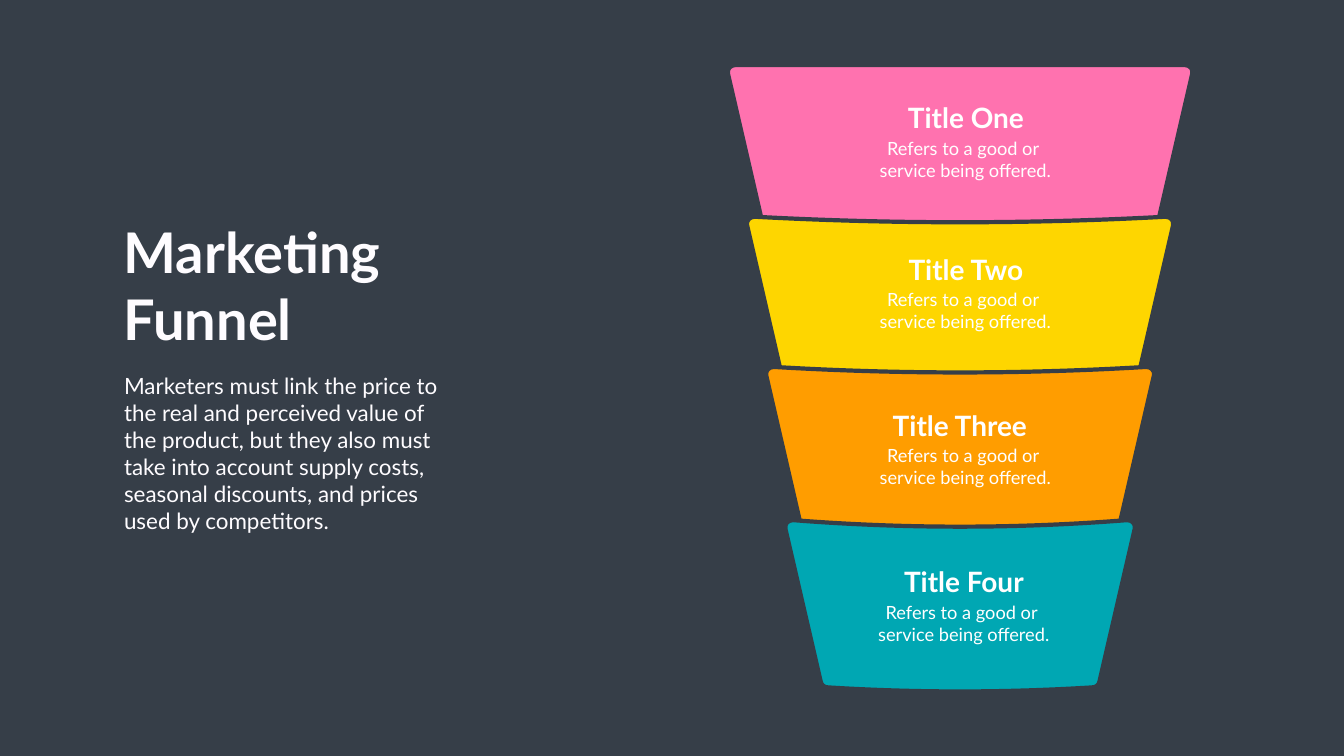
from lxml.etree import SubElement
from pptx import Presentation
from pptx.dml.color import RGBColor
from pptx.enum.text import MSO_ANCHOR, MSO_AUTO_SIZE, PP_ALIGN
from pptx.oxml.ns import qn
from pptx.util import Inches, Pt

BACKDROP = RGBColor(0x36, 0x3E, 0x48)
CREAM = RGBColor(0xFE, 0xFC, 0xFF)
WHITE = RGBColor(0xFF, 0xFF, 0xFF)
PINK = RGBColor(0xFF, 0x72, 0xAF)
YELLOW = RGBColor(0xFE, 0xD6, 0x00)
ORANGE = RGBColor(0xFF, 0x9D, 0x00)
TEAL = RGBColor(0x00, 0xA7, 0xB3)

COLS, ROWS = 26.66, 15
COL = ROW = Inches(1)

HEADING = {"size": Pt(80), "bold": True}
BODY = {"size": Pt(32), "bold": False}
TIER_TITLE = {"size": Pt(40), "bold": True}
TIER_NOTE = {"size": Pt(26), "bold": False}


def write(s, box, lines, font, color, align, wrap):
    s.left, s.top, s.width, s.height = (int(v * COL) for v in box)
    tf = s.text_frame
    tf.text = "\n".join(lines)
    frame = {"word_wrap": wrap, "auto_size": MSO_AUTO_SIZE.SHAPE_TO_FIT_TEXT,
             "vertical_anchor": MSO_ANCHOR.TOP}
    for name, value in frame.items():
        setattr(tf, name, value)
    for p in tf.paragraphs:
        pPr = p._p.get_or_add_pPr()
        pPr.set("marL", "0")
        pPr.set("indent", "0")
        SubElement(pPr, qn("a:buNone"))
        p.alignment = align
        p.space_before = Pt(0)
        for r in p.runs:
            for name, value in {"name": "Lato", **font}.items():
                setattr(r.font, name, value)
            r.font.color.rgb = color


def draw(outline, tag, points):
    step = SubElement(outline, qn(tag))
    for x, y in points:
        SubElement(step, qn("a:pt"), x=str(round(x * COL)), y=str(round(y * ROW)))


prs = Presentation()
prs.slide_width, prs.slide_height = int(COLS * COL), ROWS * ROW
slide = prs.slides.add_slide(prs.slide_layouts[1])
slide.background.fill.solid()
slide.background.fill.fore_color.rgb = BACKDROP

tiers = [
    ("Title One", PINK, 1.29, 0, 0, 1.95, 19.16, 2.54, 19.15),
    ("Title Two", YELLOW, 4.3, 0.11, 0, 4.96, 19.16, 2.58, 19.15),
    ("Title Three", ORANGE, 7.28, 0.11, 0, 8.05, 19.04, 2.93, 19.15),
    ("Title Four", TEAL, 10.32, 0.13, 0.08, 11.16, 19.12, 2.63, 19.12),
]

for i, (_, color, top, top_sag, bottom_sag, *_) in enumerate(tiers):
    left, width, height = 14.42 + 0.38 * i, 9.25 - 0.76 * i, 3.32 + bottom_sag
    builder = slide.shapes.build_freeform(left * COL, top * ROW)
    builder.add_line_segments([((left + x) * COL, (top + y) * ROW)
                               for x, y in ((width, 0), (width, height), (0, height))])
    s = builder.convert_to_shape()
    outline = next(s._element.iter(qn("a:path")))
    for step in list(outline):
        outline.remove(step)

    lower = [(0.87, 3.32), (0.79, 3.32), (0.73, 3.27), (0.72, 3.2)]
    upper = [(0.02, 0.17), (0, 0.08), (0.07, 0), (0.17, 0)]
    right_upper, right_lower = ([(width - x, y) for x, y in reversed(corner)]
                                for corner in (upper, lower))
    corners = [lower, upper, right_upper, right_lower]
    sags = [bottom_sag, 0, top_sag, 0]
    start = right_lower[-1]
    draw(outline, "a:moveTo", [start])
    for corner, sag in zip(corners, sags):
        end = corner[0]
        if sag:
            bend = [(start[0] + (end[0] - start[0]) * t, end[1] + sag * 4 / 3) for t in (1 / 3, 2 / 3)]
            draw(outline, "a:cubicBezTo", bend + [end])
        else:
            draw(outline, "a:lnTo", [end])
        draw(outline, "a:cubicBezTo", corner[1:])
        start = corner[-1]
    SubElement(outline, qn("a:close"))

    s.shadow.inherit = False
    s.fill.solid()
    s.fill.fore_color.rgb = color
    s.line.color.rgb = BACKDROP
    s.line.width = Pt(6)

write(slide.shapes.title, (2.35, 4.26, 5.57, 2.79), ["Marketing Funnel"],
      HEADING, CREAM, PP_ALIGN.LEFT, True)
write(slide.placeholders[1], (2.36, 7.34, 6.63, 3.33),
      ["Marketers must link the price to the real and perceived value of the product, "
       "but they also must take into account supply costs, seasonal discounts, "
       "and prices used by competitors."],
      BODY, CREAM, PP_ALIGN.LEFT, True)

for title, _, _, _, _, row, title_axis, width, note_axis in tiers:
    texts = [
        ((note_axis - 1.83, row + 0.72, 3.66, 0.98),
         ["Refers to a good or ", "service being offered."], TIER_NOTE),
        ((title_axis - width / 2, row, width, 0.77), [title], TIER_TITLE),
    ]
    for box, lines, font in texts:
        write(slide.shapes.add_textbox(0, 0, COL, ROW), box, lines, font, WHITE, PP_ALIGN.CENTER, False)

prs.save("out.pptx")
